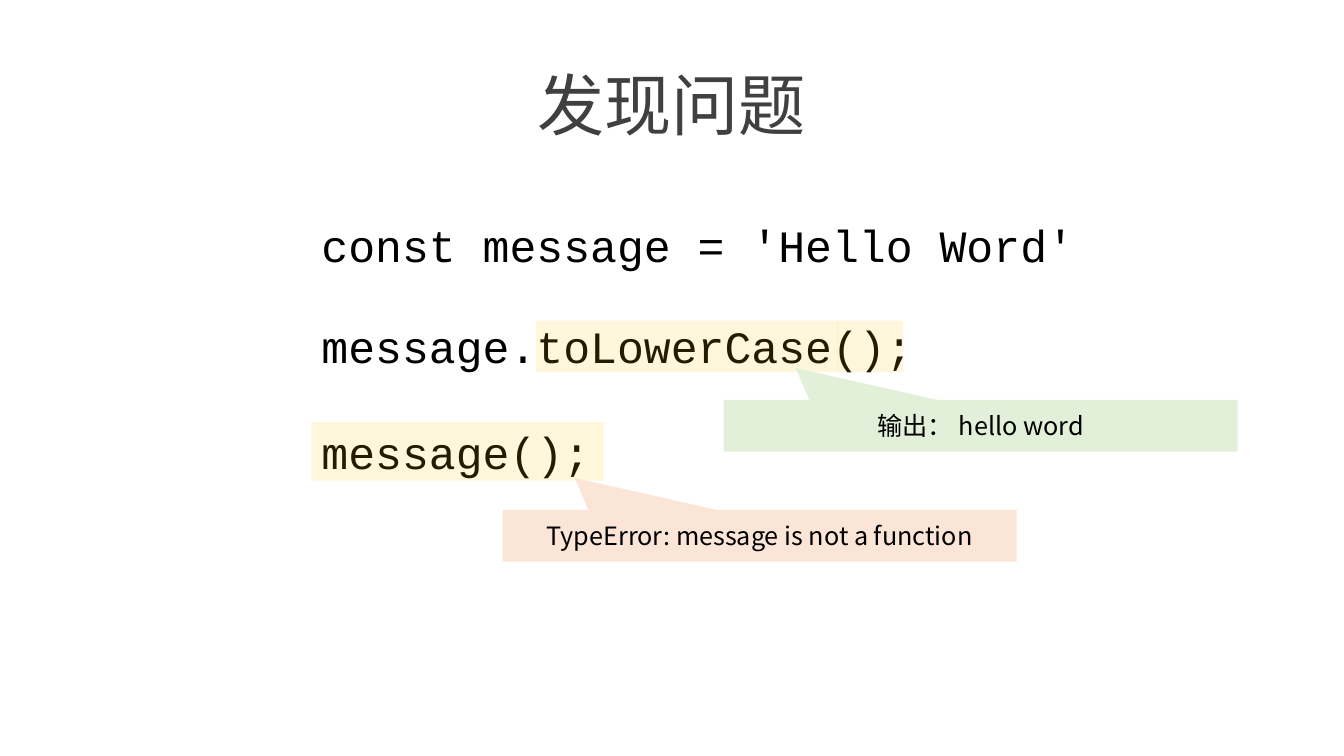
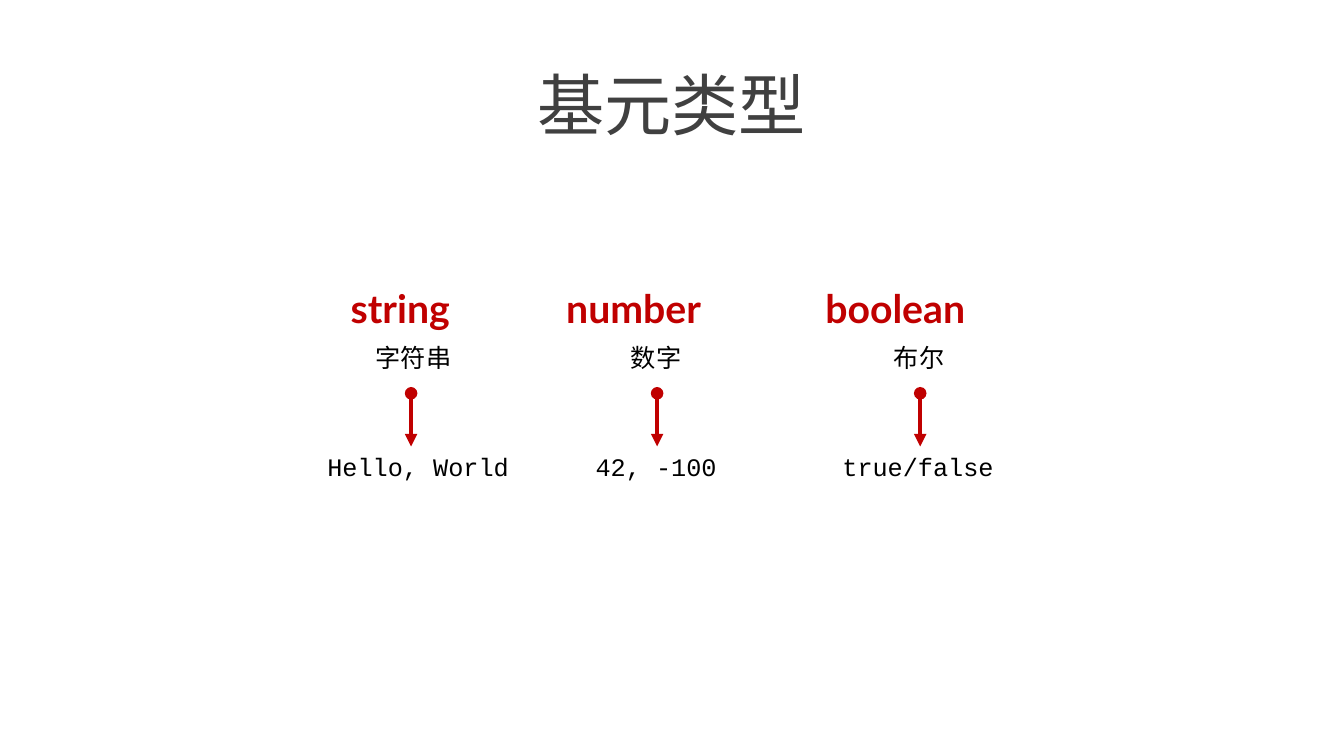
"""Build two slides: a JavaScript error example and the primitive types."""
from lxml import etree
from pptx import Presentation
from pptx import util as u
from pptx.dml.color import RGBColor
from pptx.enum import shapes, text
from pptx.oxml import ns

Cm, Pt = u.Cm, u.Pt
BLACK = RGBColor(0x00, 0x00, 0x00)
GRAY = RGBColor(0x40, 0x40, 0x40)
RED = RGBColor(0xC0, 0x00, 0x00)
AMBER = RGBColor(0xFF, 0xC0, 0x00)
PEACH = RGBColor(0xFB, 0xE5, 0xD6)
MINT = RGBColor(0xE2, 0xF0, 0xD9)
CHINESE_FONT = "Noto Sans CJK SC"

TITLE = {"name": CHINESE_FONT, "size": Pt(48)}
CODE = {"name": "Courier New", "size": Pt(32)}
CALLOUT = {"name": CHINESE_FONT, "size": Pt(18)}
TYPE_NAME = {"name": "Lato", "size": Pt(28), "bold": True}
TYPE_LABEL = {"name": "Lato", "size": Pt(18)}
EXAMPLE = {"name": "Courier New", "size": Pt(18)}


def write(shape, words, style, color=BLACK, align=text.PP_ALIGN.LEFT):
    """Put one styled line of text in a shape."""
    shape.text_frame.word_wrap = True
    paragraph = shape.text_frame.paragraphs[0]
    paragraph.alignment = align
    run = paragraph.add_run()
    run.text = words
    for name, value in style.items():
        setattr(run.font, name, value)
    run.font.color.rgb = color
    east_asian = etree.SubElement(run.font._element, ns.qn("a:ea"))
    east_asian.set("typeface", CHINESE_FONT)
    return shape


def add_block(slide, kind, box, color):
    """Add a filled shape without outline or shadow."""
    shape = slide.shapes.add_shape(kind, *map(Cm, box))
    shape.shadow.inherit = False
    shape.fill.solid()
    shape.fill.fore_color.rgb = color
    shape.line.fill.background()
    return shape


presentation = Presentation()
presentation.slide_width, presentation.slide_height = Cm(33.87), Cm(19.05)

slides = []
for title in ("发现问题", "基元类型"):
    slide = presentation.slides.add_slide(presentation.slide_layouts[6])
    title_box = slide.shapes.add_textbox(Cm(3.53), Cm(1.47), Cm(26.8), Cm(2.31))
    write(title_box, title, TITLE, GRAY, text.PP_ALIGN.CENTER)
    slides.append(slide)
problem_slide, types_slide = slides

for top, code in (
    (5.36, "const message = 'Hello Word'"),
    (7.9, "message.toLowerCase();"),
    (10.57, "message();"),
):
    code_box = problem_slide.shapes.add_textbox(Cm(7.85), Cm(top), Cm(19.8), Cm(1.63))
    write(code_box, code, CODE)

for box in ((7.85, 10.64, 7.37, 1.47), (13.51, 8.08, 7.62, 1.3), (21.11, 8.08, 1.65, 1.3)):
    highlight = add_block(problem_slide, shapes.MSO_SHAPE.RECTANGLE, box, AMBER)
    color = highlight.fill._xPr.find(".//" + ns.qn("a:srgbClr"))
    etree.SubElement(color, ns.qn("a:alpha")).set("val", "14000")

for left, top, words, color in (
    (12.67, 12.85, "TypeError: message is not a function", PEACH),
    (18.24, 10.08, "输出： hello word", MINT),
):
    callout = add_block(problem_slide, shapes.MSO_SHAPE.RECTANGULAR_CALLOUT,
                        (left, top, 12.95, 1.3), color)
    callout.adjustments[0], callout.adjustments[1] = -0.36, -1.12
    callout.text_frame.vertical_anchor = text.MSO_ANCHOR.MIDDLE
    write(callout, words, CALLOUT, align=text.PP_ALIGN.CENTER)

for arrow_x, cells in (
    (10.36, (("string", 8.59, 3.96), ("字符串", 9.22, 2.8), ("Hello, World", 8, 5.1))),
    (16.56, (("number", 14.02, 5.08), ("数字", 15.65, 2.8), ("42, -100", 14.76, 3.6))),
    (23.19, (("boolean", 20.55, 5.23), ("布尔", 22.28, 2.8), ("true/false", 20.98, 4.42))),
):
    for (words, left, width), (top, height, style, color) in zip(cells, (
        (7.04, 1.45, TYPE_NAME, RED),
        (8.51, 1.02, TYPE_LABEL, BLACK),
        (11.25, 1.02, EXAMPLE, BLACK),
    )):
        box = types_slide.shapes.add_textbox(Cm(left), Cm(top), Cm(width), Cm(height))
        write(box, words, style, color)

    arrow = types_slide.shapes.add_connector(
        shapes.MSO_CONNECTOR.STRAIGHT, Cm(arrow_x), Cm(9.91), Cm(arrow_x), Cm(11.25))
    if abs(box.left + box.width / 2 - Cm(arrow_x)) < Cm(0.05):
        arrow.end_connect(box, 0)
    arrow.line.color.rgb = RED
    arrow.line.width = Pt(3)
    line = arrow.line._get_or_add_ln()
    etree.SubElement(line, ns.qn("a:headEnd")).set("type", "oval")
    etree.SubElement(line, ns.qn("a:tailEnd")).set("type", "triangle")
    etree.SubElement(arrow._element.spPr, ns.qn("a:effectLst"))

presentation.save("out.pptx")
